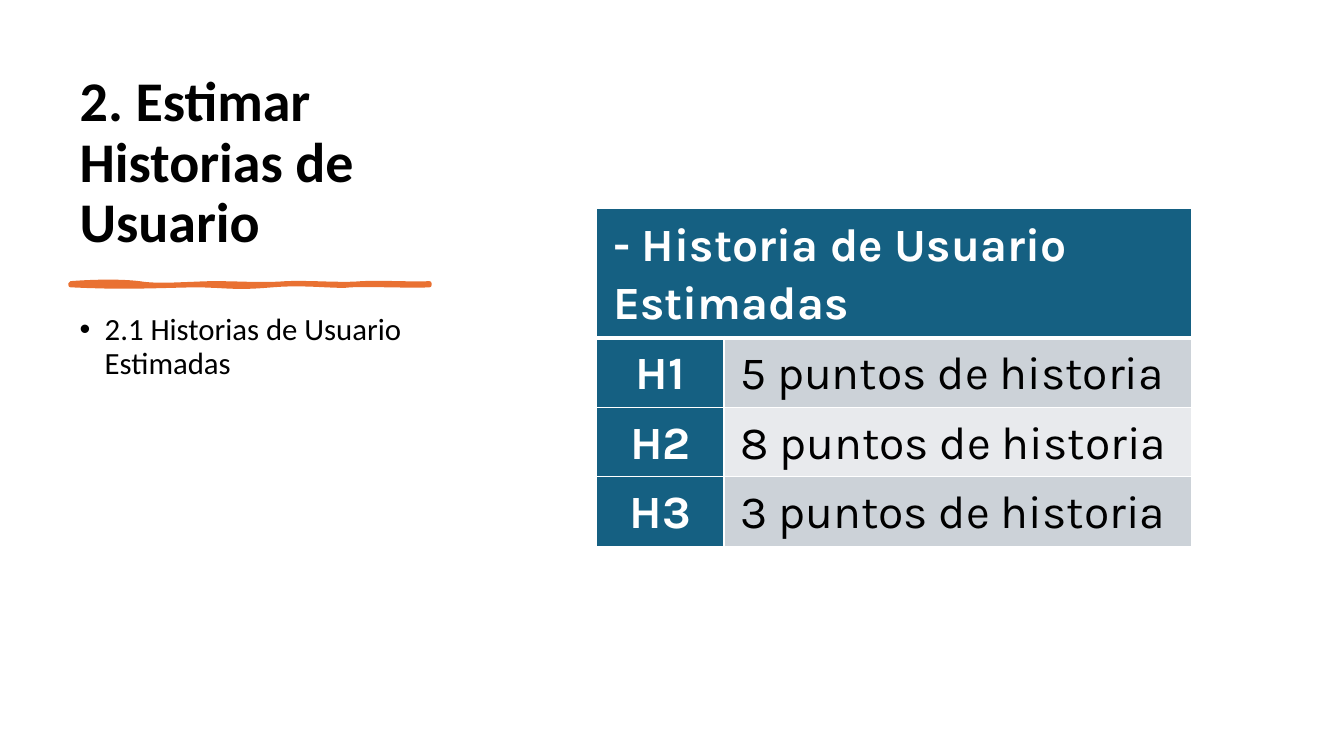
from lxml import etree
from pptx import Presentation
from pptx.dml.color import RGBColor
from pptx.enum import text
from pptx.oxml import ns
from pptx.util import Inches, Pt

# Content
TITLE = "2. Estimar Historias de Usuario"
TOPIC = "2.1 Historias de Usuario Estimadas"
TABLE_HEADING = "- Historia de Usuario Estimadas"
ESTIMATES = [
    ("H1", "5 puntos de historia"),
    ("H2", "8 puntos de historia"),
    ("H3", "3 puntos de historia"),
]

# Brush stroke: start, then cubic curves as (control, control, end)
STROKE_START = (0.7, 2.81)
STROKE_CURVES = [
    ((0.97, 2.79), (1.21, 2.79), (1.38, 2.81)),
    ((1.55, 2.84), (1.77, 2.82), (2.09, 2.81)),
    ((2.41, 2.81), (2.6, 2.83), (2.84, 2.81)),
    ((3.08, 2.8), (3.39, 2.83), (3.59, 2.81)),
    ((3.79, 2.8), (4.12, 2.82), (4.26, 2.81)),
    ((4.26, 2.82), (4.26, 2.83), (4.26, 2.83)),
    ((4.08, 2.84), (3.64, 2.82), (3.48, 2.83)),
    ((3.32, 2.85), (3.04, 2.8), (2.7, 2.83)),
    ((2.35, 2.86), (2.31, 2.84), (1.99, 2.83)),
    ((1.66, 2.83), (1.32, 2.86), (0.7, 2.83)),
]

# Style
BLACK = RGBColor(0x00, 0x00, 0x00)
WHITE = RGBColor(0xFF, 0xFF, 0xFF)
ORANGE = RGBColor(0xE9, 0x71, 0x32)
TEAL = RGBColor(0x15, 0x60, 0x82)
BANDS = (RGBColor(0xCC, 0xD2, 0xD8), RGBColor(0xE8, 0xEA, 0xED))

# Layout in inches
LEFT_COLUMN, LEFT_WIDTH = 0.69, 3.75
TABLE_LEFT, TABLE_TOP = 5.92, 2.07
COLUMNS = (1.26, 4.64)
HEADING_HEIGHT, ROW_HEIGHT = 1.28, 0.69
UNITS_PER_INCH = 10000


def style_run(paragraph, size, face, color, bold=False):
    font = paragraph.runs[0].font
    font.size, font.name, font.bold = Pt(size), face, bold
    font.color.rgb = color


def curve_points(start, curves, steps=10):
    points = [start]
    for first, second, end in curves:
        for step in range(1, steps + 1):
            t = step / steps
            weights = ((1 - t) ** 3, 3 * t * (1 - t) ** 2, 3 * t * t * (1 - t), t ** 3)
            corners = (start, first, second, end)
            points.append(tuple(sum(w * c[axis] for w, c in zip(weights, corners))
                                for axis in (0, 1)))
        start = end
    return [(round(x * UNITS_PER_INCH), round(y * UNITS_PER_INCH)) for x, y in points]


def set_borders(cell, widths):
    properties = cell._tc.get_or_add_tcPr()
    for side, width in zip("LRTB", widths):
        line = etree.SubElement(properties, ns.qn(f"a:ln{side}"), w=str(Pt(width)))
        fill = etree.SubElement(line, ns.qn("a:solidFill"))
        etree.SubElement(fill, ns.qn("a:srgbClr"), val=str(WHITE))


def fill_cell(cell, words, fill, color, bold, align, borders):
    set_borders(cell, borders)
    cell.fill.solid()
    cell.fill.fore_color.rgb = fill
    cell.vertical_anchor = text.MSO_ANCHOR.MIDDLE
    cell.margin_left = cell.margin_right = Inches(0.16)
    cell.margin_top = cell.margin_bottom = 0
    if words:
        cell.text_frame.text = words
        paragraph = cell.text_frame.paragraphs[0]
        paragraph.alignment = align
        paragraph.line_spacing, paragraph.space_after = 1.07, Pt(8)
        style_run(paragraph, 33, "Karla", color, bold)


prs = Presentation()
prs.slide_width, prs.slide_height = Inches(13.33), Inches(7.5)
slide = prs.slides.add_slide(prs.slide_layouts[5])

# Title
title = slide.shapes.title
title.left, title.top = Inches(LEFT_COLUMN), Inches(0.7)
title.width, title.height = Inches(LEFT_WIDTH), Inches(1.88)
title.text_frame.text = TITLE
title.text_frame.word_wrap = True
title.text_frame.auto_size = text.MSO_AUTO_SIZE.NONE
title.text_frame.vertical_anchor = text.MSO_ANCHOR.BOTTOM
heading = title.text_frame.paragraphs[0]
heading.alignment, heading.line_spacing = text.PP_ALIGN.LEFT, 0.9
style_run(heading, 40, "Calibri", BLACK, True)

# Brush stroke under the title
outline = curve_points(STROKE_START, STROKE_CURVES)
builder = slide.shapes.build_freeform(*outline[0], scale=Inches(1) / UNITS_PER_INCH)
builder.add_line_segments(outline[1:], close=True)
stroke = builder.convert_to_shape()
stroke.shadow.inherit = False
stroke.fill.solid()
stroke.fill.fore_color.rgb = ORANGE
stroke.line.color.rgb, stroke.line.width = ORANGE, Pt(3)
etree.SubElement(stroke.line._get_or_add_ln(), ns.qn("a:round"))

# Bulleted topic
topic = slide.shapes.add_textbox(Inches(LEFT_COLUMN), Inches(3.07),
                                 Inches(LEFT_WIDTH), Inches(3.73)).text_frame
topic.word_wrap = True
topic.text = TOPIC
bullet = topic.paragraphs[0]
bullet.line_spacing, bullet.space_after = 0.9, Pt(8)
bullet_properties = bullet._p.get_or_add_pPr()
bullet_properties.set("marL", str(Inches(0.25)))
bullet_properties.set("indent", str(-Inches(0.25)))
etree.SubElement(bullet_properties, ns.qn("a:buFont"), typeface="Arial")
etree.SubElement(bullet_properties, ns.qn("a:buChar"), char="•")
style_run(bullet, 22, "Calibri", BLACK)

# Table of estimates
heights = [HEADING_HEIGHT] + [ROW_HEIGHT] * len(ESTIMATES)
table = slide.shapes.add_table(
    len(heights), len(COLUMNS), Inches(TABLE_LEFT), Inches(TABLE_TOP),
    Inches(sum(COLUMNS)), Inches(sum(heights))).table
for column, width in zip(table.columns, COLUMNS):
    column.width = Inches(width)
for row, height in zip(table.rows, heights):
    row.height = Inches(height)

table.cell(0, 0).merge(table.cell(0, 1))
for column, words in enumerate((TABLE_HEADING, "")):
    fill_cell(table.cell(0, column), words, TEAL, WHITE, True,
              text.PP_ALIGN.LEFT, (1, 1, 1, 3))
for index, (story, points) in enumerate(ESTIMATES):
    borders = (1, 1, 1 if index else 3, 1)
    fill_cell(table.cell(index + 1, 0), story, TEAL, WHITE, True,
              text.PP_ALIGN.CENTER, borders)
    fill_cell(table.cell(index + 1, 1), points, BANDS[index % 2], BLACK, False,
              text.PP_ALIGN.LEFT, borders)

prs.save("out.pptx")
